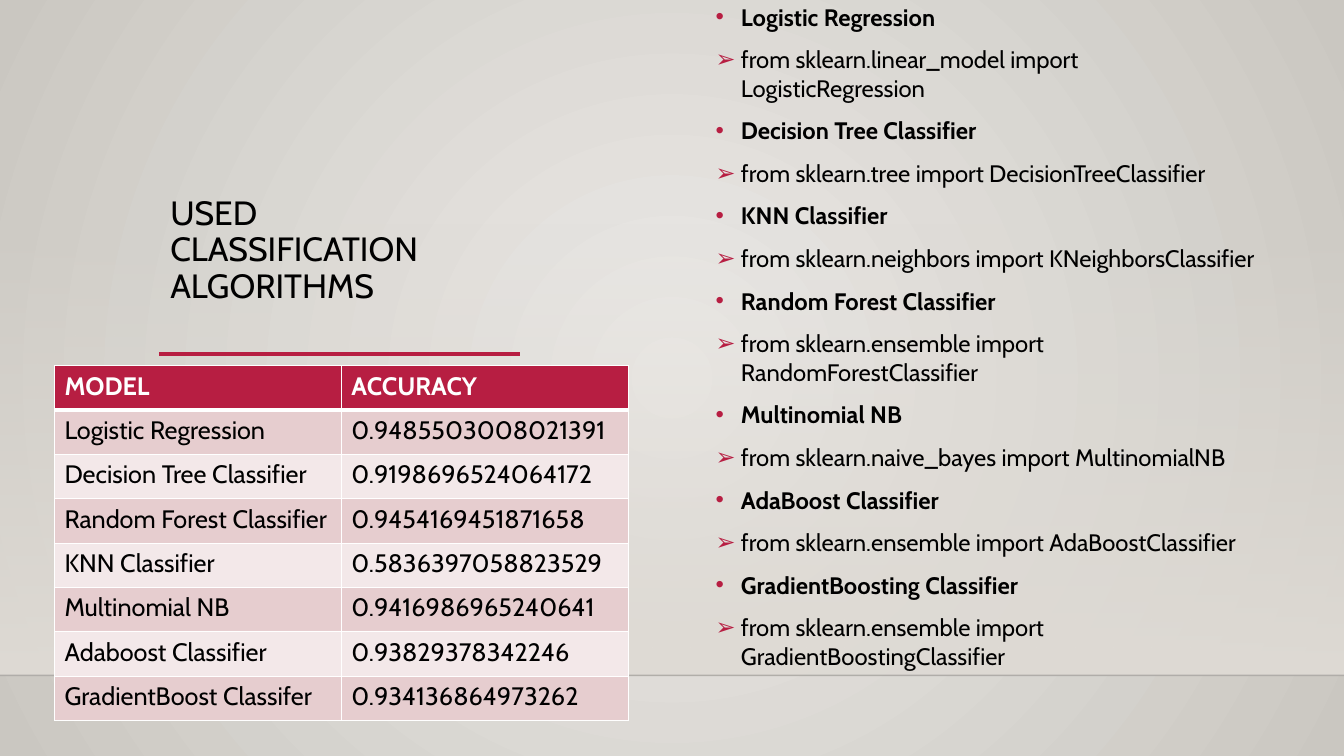
from dataclasses import dataclass

from lxml.etree import SubElement
from pptx import Presentation
from pptx.dml.color import RGBColor
from pptx.enum.shapes import MSO_CONNECTOR, MSO_SHAPE
from pptx.enum.text import MSO_ANCHOR, PP_ALIGN
from pptx.oxml.ns import qn
from pptx.util import Inches, Pt


@dataclass(frozen=True)
class Theme:
    """Colours, font and type sizes of the slide."""
    font: str = "Cabin"
    ink: str = "000000"
    white: str = "FFFFFF"
    accent: str = "B71E42"
    bands: tuple = ("E6CDCF", "F3E8E9")
    glow: str = "ECEAE7"
    edge: str = "CAC7C1"
    wall: str = "DFDBD5"
    horizon: str = "000001"
    title_size: int = 24
    list_size: int = 17
    table_size: int = 18


THEME = Theme()
SLIDE_WIDTH, SLIDE_HEIGHT = 13.33, 7.5
TITLE = "USED CLASSIFICATION ALGORITHMS"
ALGORITHMS = [
    ("Logistic Regression", "linear_model", "LogisticRegression"),
    ("Decision Tree Classifier", "tree", "DecisionTreeClassifier"),
    ("KNN Classifier", "neighbors", "KNeighborsClassifier"),
    ("Random Forest Classifier", "ensemble", "RandomForestClassifier"),
    ("Multinomial NB", "naive_bayes", "MultinomialNB"),
    ("AdaBoost Classifier", "ensemble", "AdaBoostClassifier"),
    ("GradientBoosting Classifier", "ensemble", "GradientBoostingClassifier"),
]
ACCURACIES = [
    ("MODEL", "ACCURACY"),
    ("Logistic Regression", "0.9485503008021391"),
    ("Decision Tree Classifier", "0.9198696524064172"),
    ("Random Forest Classifier", "0.9454169451871658"),
    ("KNN Classifier", "0.5836397058823529"),
    ("Multinomial NB", "0.9416986965240641"),
    ("Adaboost Classifier", "0.93829378342246"),
    ("GradientBoost Classifer", "0.934136864973262"),
]


def add_node(parent, tag, **attributes):
    """Append an XML child with the given attributes."""
    values = {name: str(value) for name, value in attributes.items()}
    return SubElement(parent, qn(tag), values)


def set_format(target, values):
    """Set every attribute named in a dict of format values."""
    for name, value in values.items():
        setattr(target, name, value)


def set_gradient(gradient, stops):
    """Empty a gradient fill and give it (position, colour, opacity) stops."""
    for child in list(gradient):
        gradient.remove(child)
    stop_list = add_node(gradient, "a:gsLst")
    for position, color, opacity in stops:
        stop = add_node(stop_list, "a:gs", pos=position * 1000)
        tint = add_node(stop, "a:srgbClr", val=color)
        add_node(tint, "a:alpha", val=opacity * 1000)


def add_rule(slide, left, top, width, color, weight, opacity=100):
    """Draw a horizontal rule."""
    rule = slide.shapes.add_connector(
        MSO_CONNECTOR.STRAIGHT,
        Inches(left), Inches(top), Inches(left + width), Inches(top))
    rule.line.color.rgb = RGBColor.from_string(color)
    rule.line.width = Pt(weight)
    properties = rule.element.spPr
    add_node(properties, "a:effectLst")
    tint = next(properties.iter(qn("a:srgbClr")))
    add_node(tint, "a:alpha", val=opacity * 1000)


def add_text(paragraph, text, size, color=THEME.ink, bold=False):
    """Write one run in the theme font."""
    run = paragraph.add_run()
    run.text = text
    set_format(run.font, {"name": THEME.font, "size": Pt(size), "bold": bold})
    run.font.color.rgb = RGBColor.from_string(color)


def add_frame(slide, box, anchor):
    """Add a wrapping text box and return its text frame."""
    frame = slide.shapes.add_textbox(*map(Inches, box)).text_frame
    set_format(frame, {"word_wrap": True, "vertical_anchor": anchor})
    return frame


def add_backdrop(slide, box, wall_top, horizon):
    """Paint the glowing wall and the floor line in the slide box."""
    left, top, width, height = box
    slide.background.fill.gradient()
    glow = next(slide.background.fill and slide.element.iter(qn("a:gradFill")))
    set_gradient(glow, [(0, THEME.glow, 100), (100, THEME.edge, 100)])
    circle = add_node(glow, "a:path", path="circle")
    add_node(circle, "a:fillToRect", l=50000, t=50000, r=50000, b=50000)

    wall = slide.shapes.add_shape(
        MSO_SHAPE.RECTANGLE, Inches(left), Inches(top + wall_top),
        Inches(width), Inches(horizon - wall_top))
    wall.shadow.inherit = False
    wall.line.fill.background()
    wall.fill.gradient()
    fade = next(wall.element.iter(qn("a:gradFill")))
    set_gradient(fade, [(0, THEME.wall, 0), (100, THEME.wall, 100)])
    add_node(fade, "a:lin", ang=90 * 60000, scaled=0)
    add_rule(slide, left, top + horizon, width, THEME.horizon, 1, 20)


def add_title(slide, box):
    """Place the title at the bottom of its box with a rule beneath."""
    left, top, width, height = box
    add_rule(slide, left - 0.01, top + height + 0.43, width, THEME.accent, 2.5)
    paragraph = add_frame(slide, box, MSO_ANCHOR.BOTTOM).paragraphs[0]
    set_format(paragraph, {"line_spacing": 0.9, "alignment": PP_ALIGN.LEFT})
    add_text(paragraph, TITLE, THEME.title_size)


def add_algorithms(slide, box):
    """List each algorithm in bold, followed by its import."""
    frame = add_frame(slide, box, MSO_ANCHOR.MIDDLE)
    entries = []
    for name, module, classifier in ALGORITHMS:
        entries.append(("•", name, True))
        entries.append(
            ("➢", f"from sklearn.{module} import {classifier}", False))
    for index, (bullet, entry, bold) in enumerate(entries):
        paragraph = frame.add_paragraph() if index else frame.paragraphs[0]
        set_format(paragraph, {"space_before": Pt(10),
                               "alignment": PP_ALIGN.LEFT})
        properties = paragraph._p.get_or_add_pPr()
        properties.set("marL", str(Inches(0.25)))
        properties.set("indent", str(-Inches(0.25)))
        bullet_color = add_node(properties, "a:buClr")
        add_node(bullet_color, "a:srgbClr", val=THEME.accent)
        add_node(properties, "a:buFont", typeface="Arial")
        add_node(properties, "a:buChar", char=bullet)
        add_text(paragraph, entry, THEME.list_size, bold=bold)


def set_borders(cell, row):
    """Draw white cell borders, heavier below the header."""
    properties = cell._tc.get_or_add_tcPr()
    weights = {"a:lnL": 1, "a:lnR": 1,
               "a:lnT": 3 if row == 1 else 1, "a:lnB": 3 if row == 0 else 1}
    for side, weight in weights.items():
        border = add_node(properties, side, w=Pt(weight))
        paint = add_node(border, "a:solidFill")
        add_node(paint, "a:srgbClr", val=THEME.white)


def add_accuracies(slide, box):
    """Tabulate the accuracy of each model in equal rows and columns."""
    left, top, width, height = box
    table = slide.shapes.add_table(
        len(ACCURACIES), len(ACCURACIES[0]), *map(Inches, box)).table
    for column in table.columns:
        column.width = Inches(width / len(table.columns))
    for row, values in enumerate(ACCURACIES):
        table.rows[row].height = Inches(height / len(ACCURACIES))
        header = row == 0
        band = THEME.accent if header else THEME.bands[(row - 1) % 2]
        ink = THEME.white if header else THEME.ink
        for column, value in enumerate(values):
            cell = table.cell(row, column)
            set_borders(cell, row)
            cell.fill.solid()
            cell.fill.fore_color.rgb = RGBColor.from_string(band)
            add_text(cell.text_frame.paragraphs[0], value,
                     THEME.table_size, ink, header)


def main():
    """Build and save the slide."""
    presentation = Presentation()
    set_format(presentation, {"slide_width": Inches(SLIDE_WIDTH),
                              "slide_height": Inches(SLIDE_HEIGHT)})
    slide = presentation.slides.add_slide(presentation.slide_layouts[6])
    add_backdrop(slide, (0, 0, SLIDE_WIDTH, SLIDE_HEIGHT), 2.21, 6.7)
    add_title(slide, (1.59, 0.62, 3.58, 2.46))
    add_algorithms(slide, (7, 0, 5.59, 6.67))
    add_accuracies(slide, (0.54, 3.63, 5.69, 3.52))
    presentation.save("out.pptx")


if __name__ == "__main__":
    main()
